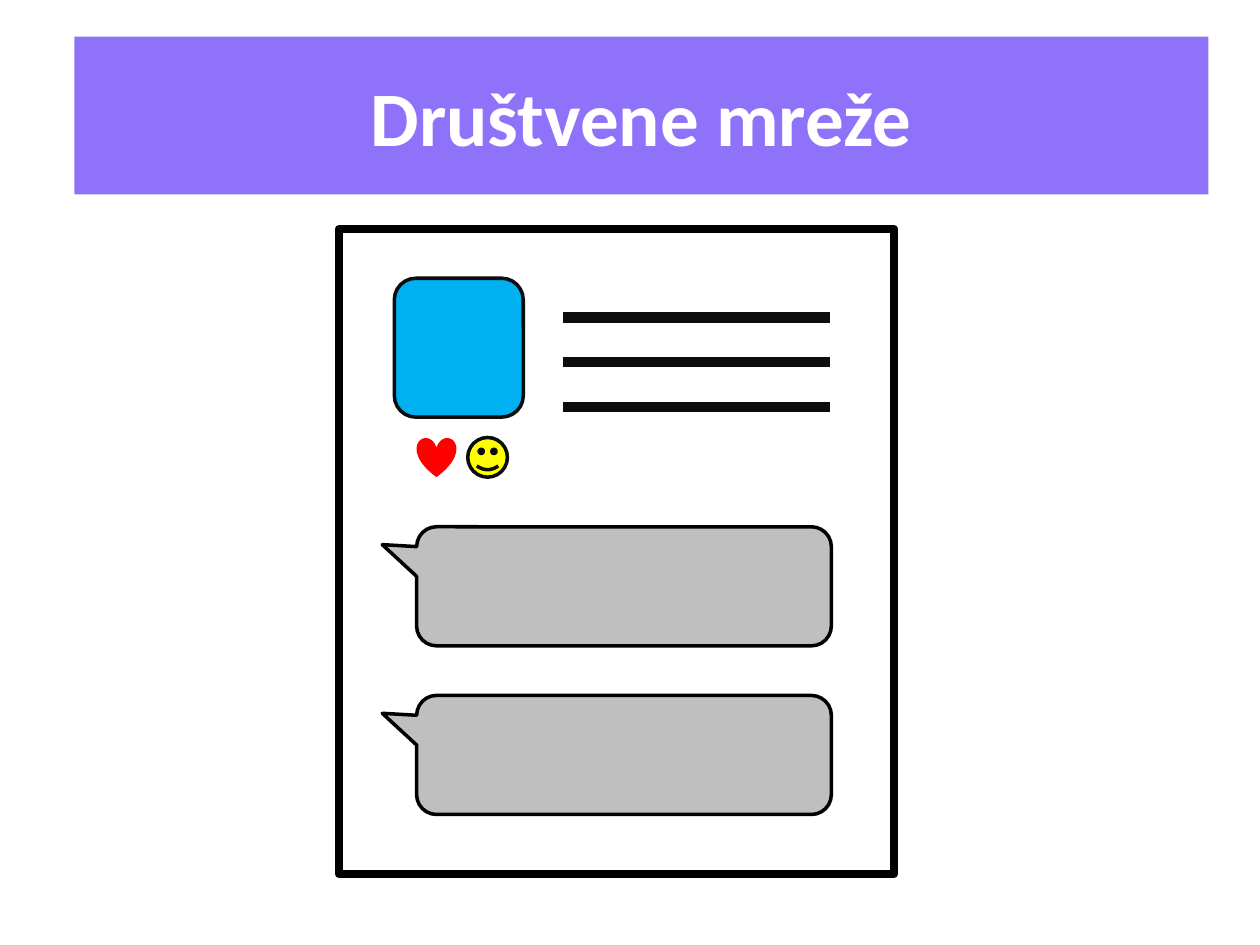
from lxml import etree
from pptx import Presentation
from pptx.dml.color import RGBColor
from pptx.enum.shapes import MSO_CONNECTOR, MSO_SHAPE
from pptx.enum.text import MSO_ANCHOR, PP_ALIGN
from pptx.oxml.ns import qn
from pptx.util import Cm, Pt

VIOLET, WHITE, BLACK, INK = "8F72FA", "FFFFFF", "000000", "0D0D0D"
BLUE, GREY, RED, YELLOW = "00B0F0", "BFBFBF", "FF0000", "FFFF00"


def colour(hex_string):
    return RGBColor.from_string(hex_string)


class SlideBuilder:
    font = "Calibri"
    title_size = 44

    def __init__(self, slide):
        self.slide = slide

    def shape(self, kind, left, top, width, height, fill=None, line=None,
              weight=2, adjustments=()):
        shape = self.slide.shapes.add_shape(
            kind, Cm(left), Cm(top), Cm(width), Cm(height))
        shape.shadow.inherit = False
        for index, value in enumerate(adjustments):
            shape.adjustments[index] = value
        if fill:
            shape.fill.solid()
            shape.fill.fore_color.rgb = colour(fill)
        else:
            shape.fill.background()
        if line:
            shape.line.color.rgb = colour(line)
            shape.line.width = Pt(weight)
        else:
            shape.line.fill.background()
        return shape

    def title(self, text, left, top, width, height):
        banner = self.shape(MSO_SHAPE.RECTANGLE, left, top, width, height, VIOLET)
        frame = banner.text_frame
        frame.text = text
        frame.word_wrap = True
        frame.vertical_anchor = MSO_ANCHOR.MIDDLE
        paragraph = frame.paragraphs[0]
        paragraph.alignment = PP_ALIGN.CENTER
        font = paragraph.runs[0].font
        font.name, font.size, font.bold = self.font, Pt(self.title_size), True
        font.color.rgb = colour(WHITE)

    def rule(self, left, right, y, weight):
        rule = self.slide.shapes.add_connector(
            MSO_CONNECTOR.STRAIGHT, Cm(left), Cm(y), Cm(right), Cm(y))
        rule.line.color.rgb = colour(INK)
        rule.line.width = Pt(weight)
        etree.SubElement(rule._element.spPr, qn("a:effectLst"))

    def comment(self, left, top, width, height):
        self.shape(MSO_SHAPE.ROUNDED_RECTANGULAR_CALLOUT, left, top, width, height,
                   GREY, BLACK, adjustments=(-0.583, -0.35, 0.167))


def main():
    presentation = Presentation()
    presentation.slide_width, presentation.slide_height = Cm(25.4), Cm(19.05)
    builder = SlideBuilder(
        presentation.slides.add_slide(presentation.slide_layouts[6]))

    # Title banner
    builder.title("Društvene mreže", 1.5, 0.74, 22.86, 3.18)

    # Profile picture and post text
    builder.shape(MSO_SHAPE.ROUNDED_RECTANGLE, 7.95, 5.61, 2.6, 2.8, BLUE, INK)
    for row in range(3):
        builder.rule(11.35, 16.74, 6.4 + row * 0.9, 6)

    # Reactions
    builder.shape(MSO_SHAPE.HEART, 8.4, 8.82, 0.8, 0.8, RED)
    builder.shape(MSO_SHAPE.SMILEY_FACE, 9.43, 8.82, 0.8, 0.8, YELLOW, INK)

    # Comments
    for row in range(2):
        builder.comment(8.4, 10.62 + row * 3.4, 8.36, 2.4)

    # Page frame
    builder.shape(MSO_SHAPE.RECTANGLE, 6.83, 4.62, 11.2, 13, line=BLACK, weight=4.5)

    presentation.save("out.pptx")


if __name__ == "__main__":
    main()
